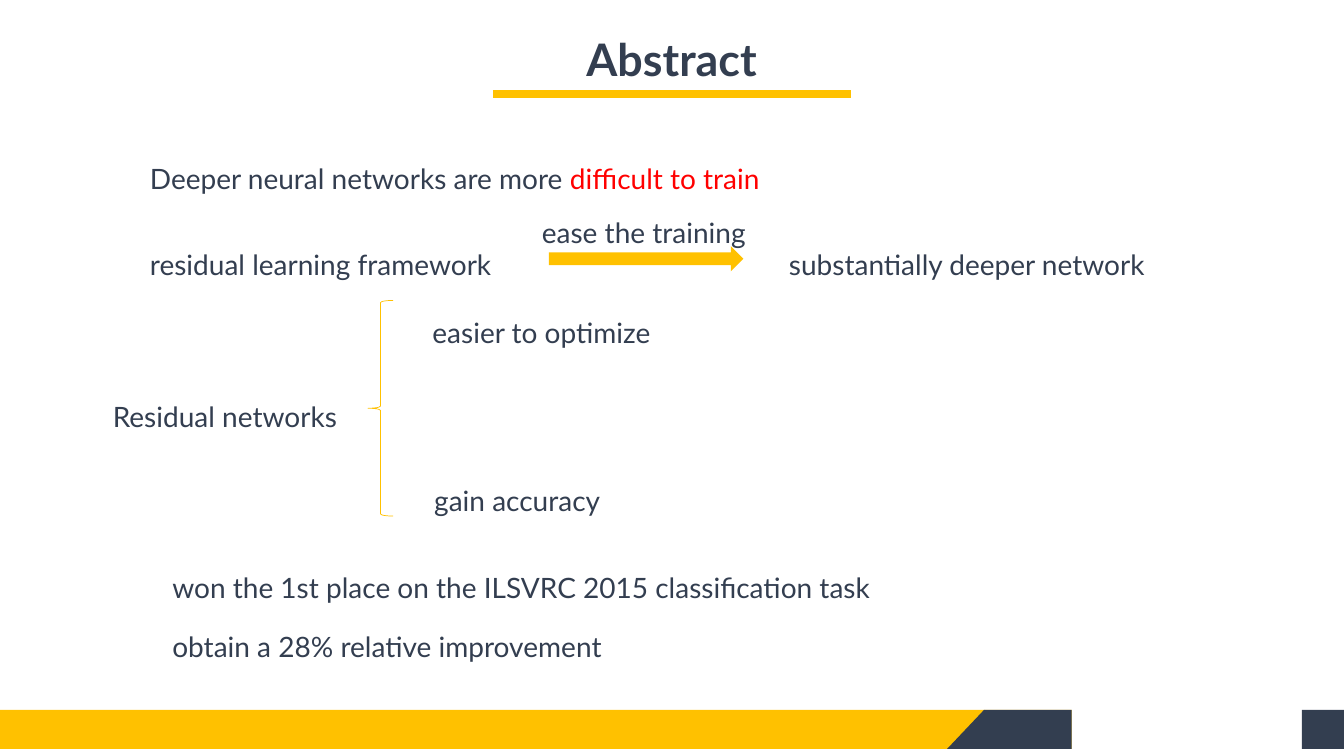
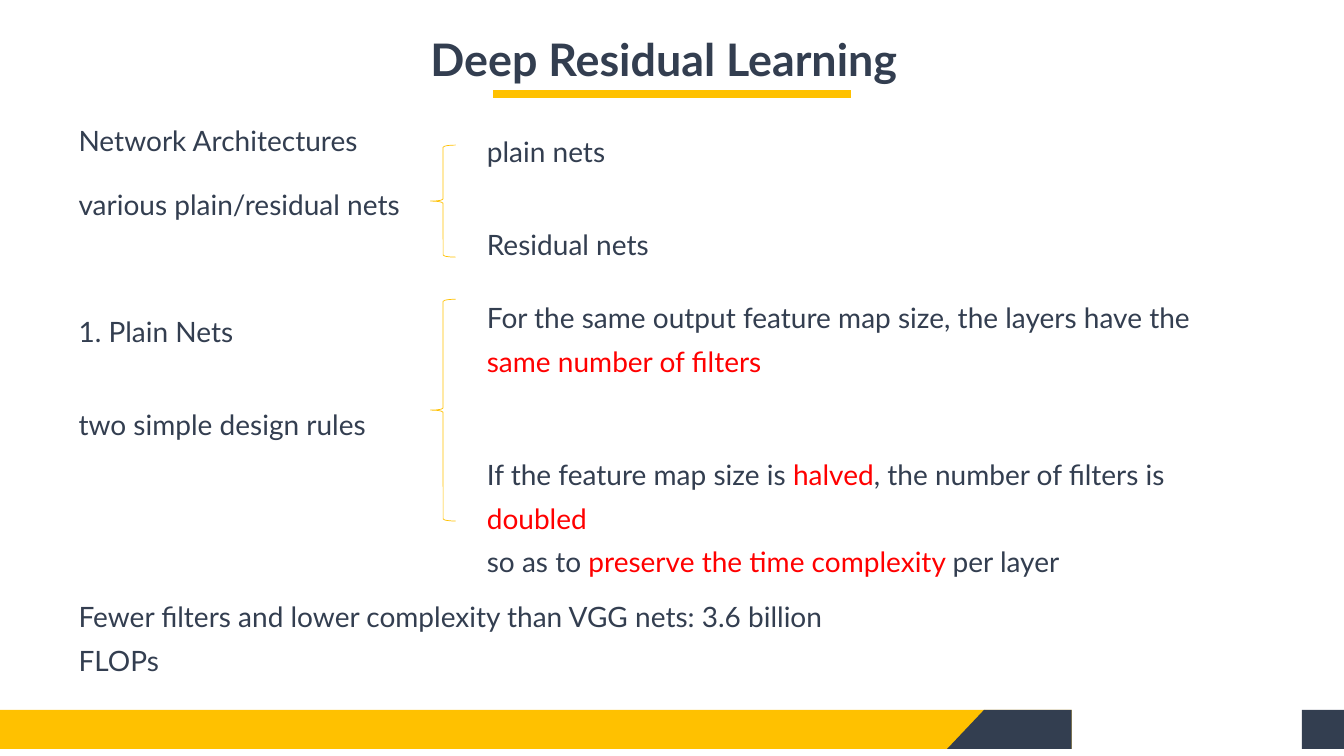
from lxml.etree import SubElement
from pptx import Presentation
from pptx.dml.color import RGBColor
from pptx.enum.shapes import MSO_CONNECTOR, MSO_SHAPE
from pptx.enum.text import MSO_ANCHOR, PP_ALIGN
from pptx.oxml.ns import qn
from pptx.util import Pt

FONT = "Lato"
YELLOW = "FFC100"
NAVY = "333E50"
RED = "FF0000"


def paint(colour_format, colour):
    colour_format.rgb = RGBColor.from_string(colour)


def add_run(paragraph, text, size, colour=NAVY, bold=False):
    run = paragraph.add_run()
    run.text = text
    run.font.name = FONT
    run.font.size = Pt(size)
    run.font.bold = bold
    paint(run.font.color, colour)


def add_block(slide, kind, box, colour):
    block = slide.shapes.add_shape(kind, *map(Pt, box))
    block.shadow.inherit = False
    block.fill.solid()
    paint(block.fill.fore_color, colour)
    block.line.fill.background()
    return block


def add_statement(slide, box, *paragraphs):
    frame = slide.shapes.add_textbox(*map(Pt, box)).text_frame
    frame.word_wrap = True
    for index, runs in enumerate(paragraphs):
        paragraph = frame.paragraphs[0] if index == 0 else frame.add_paragraph()
        paragraph.line_spacing = 1.3
        for text, colour in runs:
            add_run(paragraph, text, 20, colour)


def plain(text):
    return [(text, NAVY)]


def add_footer(slide, box):
    left, top, width, height = box
    tab_left, tab_width, slant, end_width = 703, 62.5, 26.5, 30
    add_block(slide, MSO_SHAPE.RECTANGLE, (left, top, tab_left + tab_width, height), YELLOW)
    add_block(slide, MSO_SHAPE.RECTANGLE, (left + width - end_width, top, end_width, height), NAVY)
    add_block(slide, MSO_SHAPE.RECTANGLE, (left + tab_left, top, tab_width, height), NAVY)
    edge = add_block(slide, MSO_SHAPE.RIGHT_TRIANGLE,
                     (left + tab_left - slant, top, slant, height), NAVY)
    edge.element.spPr.xfrm.set("flipH", "1")


def add_underline(slide, left, top, width):
    underline = slide.shapes.add_connector(
        MSO_CONNECTOR.STRAIGHT, Pt(left), Pt(top), Pt(left + width), Pt(top))
    underline.line.width = Pt(6)
    paint(underline.line.color, YELLOW)
    SubElement(underline.element.spPr, qn("a:effectLst"))


def add_titled_slide(deck, heading, title_width):
    slide = deck.slides.add_slide(deck.slide_layouts[5])
    add_footer(slide, (0, 507, 960, 28))
    add_underline(slide, 352, 67, 256)
    title = slide.shapes.title
    title.left, title.top, title.width, title.height = map(Pt, (281, 18.7, title_width, 46))
    frame = title.text_frame
    frame.word_wrap = True
    frame.vertical_anchor = MSO_ANCHOR.TOP
    paragraph = frame.paragraphs[0]
    paragraph.alignment = PP_ALIGN.CENTER
    add_run(paragraph, heading, 32, bold=True)
    return slide


def add_flow(slide, box, source, action, target):
    left, top, width, height = box
    target_width, row_height = 272, 35.5
    row_top = top + height - row_height
    add_statement(slide, (left, row_top, 264, row_height), plain(source))
    add_statement(slide, (left + width - target_width, row_top, target_width, row_height),
                  plain(target))
    add_block(slide, MSO_SHAPE.RIGHT_ARROW, (left + 292, top + 32.5, 139, 18), YELLOW)
    add_statement(slide, (left + 280, top, 164, row_height), plain(action))


def add_branching(slide, box, label, label_drop, brace_offset, branches):
    left, top, width, height = box
    brace_left = left + brace_offset
    add_statement(slide, (left, top + label_drop, brace_offset, 35.5), plain(label))
    brace = slide.shapes.add_shape(
        MSO_SHAPE.LEFT_BRACE, Pt(brace_left), Pt(top), Pt(18), Pt(height))
    brace.shadow.inherit = False
    brace.fill.background()
    brace.line.width = Pt(0.5)
    paint(brace.line.color, YELLOW)
    for indent, drop, paragraphs in branches:
        branch_left = brace_left + indent
        add_statement(slide, (branch_left, top + drop, left + width - branch_left,
                              35.5 * len(paragraphs)), *paragraphs)


def add_abstract(deck):
    slide = add_titled_slide(deck, "Abstract", 397.5)
    add_statement(slide, (100, 104.4, 457, 35.5),
                  [("Deeper neural networks are more ", NAVY), ("difficult to train", RED)])
    add_flow(slide, (100, 143.3, 728.5, 58.5), "residual learning framework",
             "ease the training", "substantially deeper network")
    add_branching(slide, (73.5, 214.6, 408, 154), "Residual networks", 59.7, 189.3, [
        (39, 0, [plain("easier to optimize")]),
        (40.3, 120.2, [plain("gain accuracy")]),
    ])
    achievements = ["won the 1st place on the ILSVRC 2015 classification task",
                    "obtain a 28% relative improvement"]
    for index, achievement in enumerate(achievements):
        add_statement(slide, (116, 396.7 + 42.5 * index, 520, 35.5), plain(achievement))


def add_learning(deck):
    slide = add_titled_slide(deck, "Deep Residual Learning", 386.6)
    left, brace_offset, indent = 49, 258.5, 33.2
    add_statement(slide, (left, 77.8, 361, 35.5), plain("Network Architectures"))
    add_branching(slide, (left, 103.7, 448, 80), "various plain/residual nets", 19.4,
                  brace_offset, [
                      (indent, -18, [plain("plain nets")]),
                      (indent, 48.2, [plain("Residual nets")]),
                  ])
    add_statement(slide, (left, 213.8, 259, 35.5), plain("1. Plain Nets"))
    same_size = [("For the same output feature map size, the layers have the ", NAVY),
                 ("same number of filters", RED)]
    halved_size = [("If the feature map size is ", NAVY), ("halved", RED),
                   (", the number of filters is ", NAVY), ("doubled", RED)]
    complexity = [("so as to ", NAVY), ("preserve the time complexity ", RED),
                  ("per layer", NAVY)]
    add_branching(slide, (left, 213.8, 850, 158.4), "two simple design rules", 66.3,
                  brace_offset, [
                      (indent, -10, [same_size]),
                      (indent, 102.3, [halved_size, complexity]),
                  ])
    add_statement(slide, (left, 417.6, 603, 39),
                  plain("Fewer filters and lower complexity than VGG nets: 3.6 billion FLOPs"))


def main():
    deck = Presentation()
    deck.slide_width, deck.slide_height = Pt(960), Pt(540)
    add_abstract(deck)
    add_learning(deck)
    deck.save("out.pptx")


if __name__ == "__main__":
    main()
